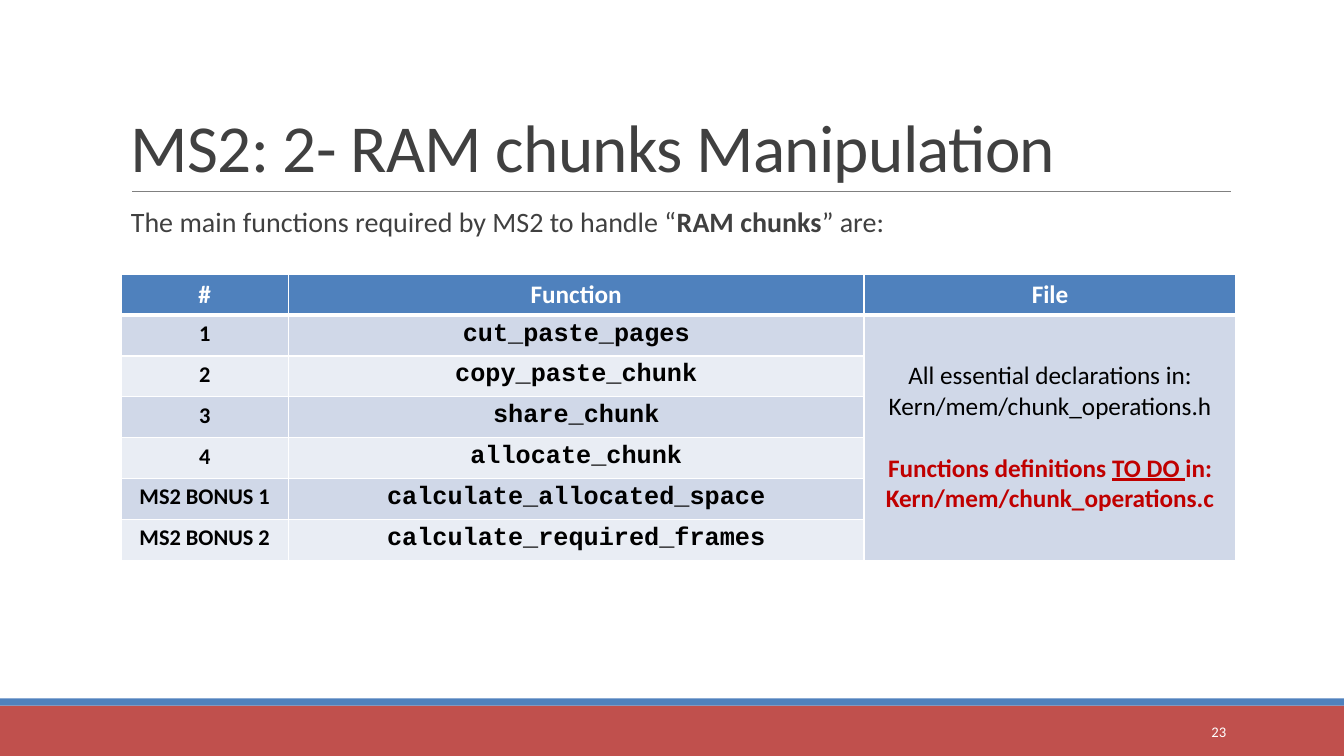
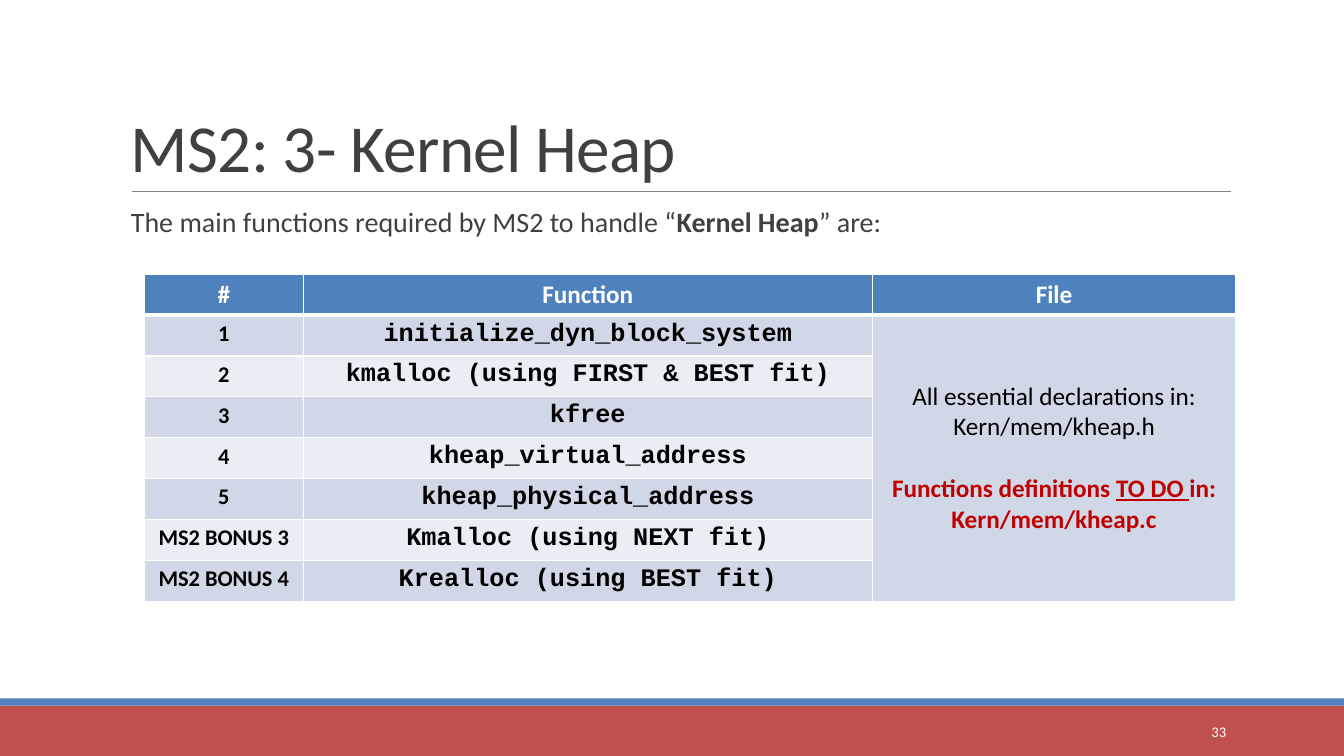
"""Build the two function-overview slides for RAM chunks and the kernel heap."""
from dataclasses import dataclass

import lxml.etree
import pptx
import pptx.dml.color
import pptx.enum.shapes
import pptx.enum.text
import pptx.oxml.ns
import pptx.util

Inches = pptx.util.Inches
Pt = pptx.util.Pt
ANCHOR = pptx.enum.text.MSO_ANCHOR
ALIGN = pptx.enum.text.PP_ALIGN
qn = pptx.oxml.ns.qn

COLORS = {
    "blue": "4F81BD",
    "red": "C0504D",
    "rule": "808080",
    "heading": "404040",
    "white": "FFFFFF",
    "black": "000000",
    "odd_row": "D0D8E8",
    "even_row": "E9EDF4",
    "todo": "C00000",
}
SANS, MONO = "Calibri", "Courier New"
SLIDE_WIDTH, SLIDE_HEIGHT = 13.33, 7.5
TABLE_TOP, ROW_HEIGHT_PT = 2.72, 29.2
HEADERS = ("#", "Function", "File")


@dataclass(frozen=True)
class Style:
    size: float
    color: str
    bold: bool = False
    underline: bool = False
    font: str = SANS


@dataclass(frozen=True)
class Band:
    top: float
    height: float
    color: str


@dataclass(frozen=True)
class FunctionSlide:
    title: str
    topic: str
    number: int
    table_left: float
    column_widths: tuple[float, float, float]
    functions: tuple[tuple[str, str], ...]
    source_file: str


BANDS = (Band(7, 0.5, "red"), Band(6.93, 0.07, "blue"))

TITLE = Style(48, "heading")
BODY = Style(20, "heading")
BODY_STRONG = Style(20, "heading", bold=True)
PAGE_NUMBER = Style(10.5, "white")
HEADER = Style(18, "white", bold=True)
ROW_LABEL = Style(16, "black", bold=True)
FUNCTION = Style(18, "black", bold=True, font=MONO)
FILE = Style(18, "black")
TODO = Style(18, "todo", bold=True)
TODO_MARK = Style(18, "todo", bold=True, underline=True)

SLIDES = (
    FunctionSlide(
        "MS2: 2- RAM chunks Manipulation", "RAM chunks", 23, 1.2, (1.66, 5.71, 3.69),
        (
            ("1", "cut_paste_pages"),
            ("2", "copy_paste_chunk"),
            ("3", "share_chunk"),
            ("4", "allocate_chunk"),
            ("MS2 BONUS 1", "calculate_allocated_space"),
            ("MS2 BONUS 2", "calculate_required_frames"),
        ),
        "Kern/mem/chunk_operations",
    ),
    FunctionSlide(
        "MS2: 3- Kernel Heap", "Kernel Heap", 33, 1.43, (1.58, 5.64, 3.61),
        (
            ("1", "initialize_dyn_block_system"),
            ("2", "kmalloc (using FIRST & BEST fit)"),
            ("3", "kfree"),
            ("4", "kheap_virtual_address"),
            ("5", "kheap_physical_address"),
            ("MS2 BONUS 3", "Kmalloc (using NEXT fit)"),
            ("MS2 BONUS 4", "Krealloc (using BEST fit)"),
        ),
        "Kern/mem/kheap",
    ),
)


def rgb(color: str) -> pptx.dml.color.RGBColor:
    """Return the palette colour of that name."""
    return pptx.dml.color.RGBColor.from_string(COLORS[color])


def write(paragraph, *pieces: tuple[str, Style], align=ALIGN.LEFT) -> None:
    """Fill a paragraph with styled pieces of text."""
    paragraph.alignment = align
    for words, style in pieces:
        run = paragraph.add_run()
        run.text = words
        run.font.name = style.font
        run.font.size = Pt(style.size)
        run.font.bold = style.bold
        run.font.underline = style.underline
        run.font.color.rgb = rgb(style.color)


def add_text(slide, left: float, top: float, width: float, height: float,
             *pieces: tuple[str, Style], anchor=ANCHOR.TOP, align=ALIGN.LEFT):
    """Add a wrapping one-paragraph text box and return its paragraph."""
    frame = slide.shapes.add_textbox(
        Inches(left), Inches(top), Inches(width), Inches(height)).text_frame
    frame.word_wrap = True
    frame.vertical_anchor = anchor
    write(frame.paragraphs[0], *pieces, align=align)
    return frame.paragraphs[0]


def add_frame(slide, content: FunctionSlide) -> None:
    """Draw the bands, rule, title, introduction and page number."""
    for band in BANDS:
        strip = slide.shapes.add_shape(
            pptx.enum.shapes.MSO_SHAPE.RECTANGLE,
            0, Inches(band.top), Inches(SLIDE_WIDTH), Inches(band.height))
        strip.shadow.inherit = False
        strip.fill.solid()
        strip.fill.fore_color.rgb = rgb(band.color)
        strip.line.fill.background()

    rule = slide.shapes.add_connector(
        pptx.enum.shapes.MSO_CONNECTOR.STRAIGHT,
        Inches(1.31), Inches(1.9), Inches(12.21), Inches(1.9))
    rule.line.color.rgb = rgb("rule")
    rule.line.width = Pt(0.5)
    lxml.etree.SubElement(rule._element.spPr, qn("a:effectLst"))

    title = add_text(slide, 1.2, 0.31, 12.13, 1.59, (content.title, TITLE),
                     anchor=ANCHOR.BOTTOM)
    title.line_spacing = 0.85
    title.runs[0]._r.get_or_add_rPr().set("spc", "-50")

    introduction = add_text(
        slide, 1.2, 2.02, 11, 4.4,
        ("The main functions required by MS2 to handle “", BODY),
        (content.topic, BODY_STRONG),
        ("” are:", BODY))
    introduction.line_spacing = 0.9

    add_text(slide, 10.83, 7.06, 1.43, 0.4, (str(content.number), PAGE_NUMBER),
             anchor=ANCHOR.MIDDLE, align=ALIGN.RIGHT)


def paint_cell(cell, fill: str, top: float = 1, bottom: float = 1) -> None:
    """Give a cell white borders of the given widths and a solid fill."""
    properties = cell._tc.get_or_add_tcPr()
    for side, width in (("L", 1), ("R", 1), ("T", top), ("B", bottom)):
        border = lxml.etree.SubElement(
            properties, qn(f"a:ln{side}"), w=str(Pt(width)))
        paint = lxml.etree.SubElement(border, qn("a:solidFill"))
        lxml.etree.SubElement(paint, qn("a:srgbClr"), val=COLORS["white"])
    cell.fill.solid()
    cell.fill.fore_color.rgb = rgb(fill)


def write_files(cell, source_file: str) -> None:
    """Name the header file and the file to be completed."""
    cell.vertical_anchor = ANCHOR.MIDDLE
    lines = (
        (("All essential declarations in:", FILE),),
        ((f"{source_file}.h", FILE),),
        (("Functions definitions ", TODO), ("TO DO ", TODO_MARK), ("in:", TODO)),
        ((f"{source_file}.c", TODO),),
    )
    frame = cell.text_frame
    for index, pieces in enumerate(lines):
        paragraph = frame.add_paragraph() if index else frame.paragraphs[0]
        write(paragraph, *pieces, align=ALIGN.CENTER)
    frame.paragraphs[2].space_before = Pt(22)


def add_function_table(slide, content: FunctionSlide) -> None:
    """List the functions beside one merged cell for their files."""
    row_count = len(content.functions) + 1
    table = slide.shapes.add_table(
        row_count, len(HEADERS), Inches(content.table_left), Inches(TABLE_TOP),
        Inches(sum(content.column_widths)), Pt(ROW_HEIGHT_PT) * row_count).table
    table.horz_banding = False
    for column, width in zip(table.columns, content.column_widths):
        column.width = Inches(width)

    for column, header in enumerate(HEADERS):
        cell = table.cell(0, column)
        paint_cell(cell, "blue", bottom=3)
        write(cell.text_frame.paragraphs[0], (header, HEADER), align=ALIGN.CENTER)

    for row, (label, function) in enumerate(content.functions, start=1):
        for column in range(len(HEADERS)):
            paint_cell(table.cell(row, column), "odd_row" if row % 2 else "even_row",
                       top=3 if row == 1 else 1)
        for column, piece in enumerate(((label, ROW_LABEL), (function, FUNCTION))):
            write(table.cell(row, column).text_frame.paragraphs[0], piece,
                  align=ALIGN.CENTER)

    files = table.cell(1, 2)
    files.merge(table.cell(row_count - 1, 2))
    write_files(files, content.source_file)


def main() -> None:
    """Build and save the presentation."""
    deck = pptx.Presentation()
    deck.slide_width = Inches(SLIDE_WIDTH)
    deck.slide_height = Inches(SLIDE_HEIGHT)
    for content in SLIDES:
        slide = deck.slides.add_slide(deck.slide_layouts[6])
        add_frame(slide, content)
        add_function_table(slide, content)
    deck.save("out.pptx")


if __name__ == "__main__":
    main()
